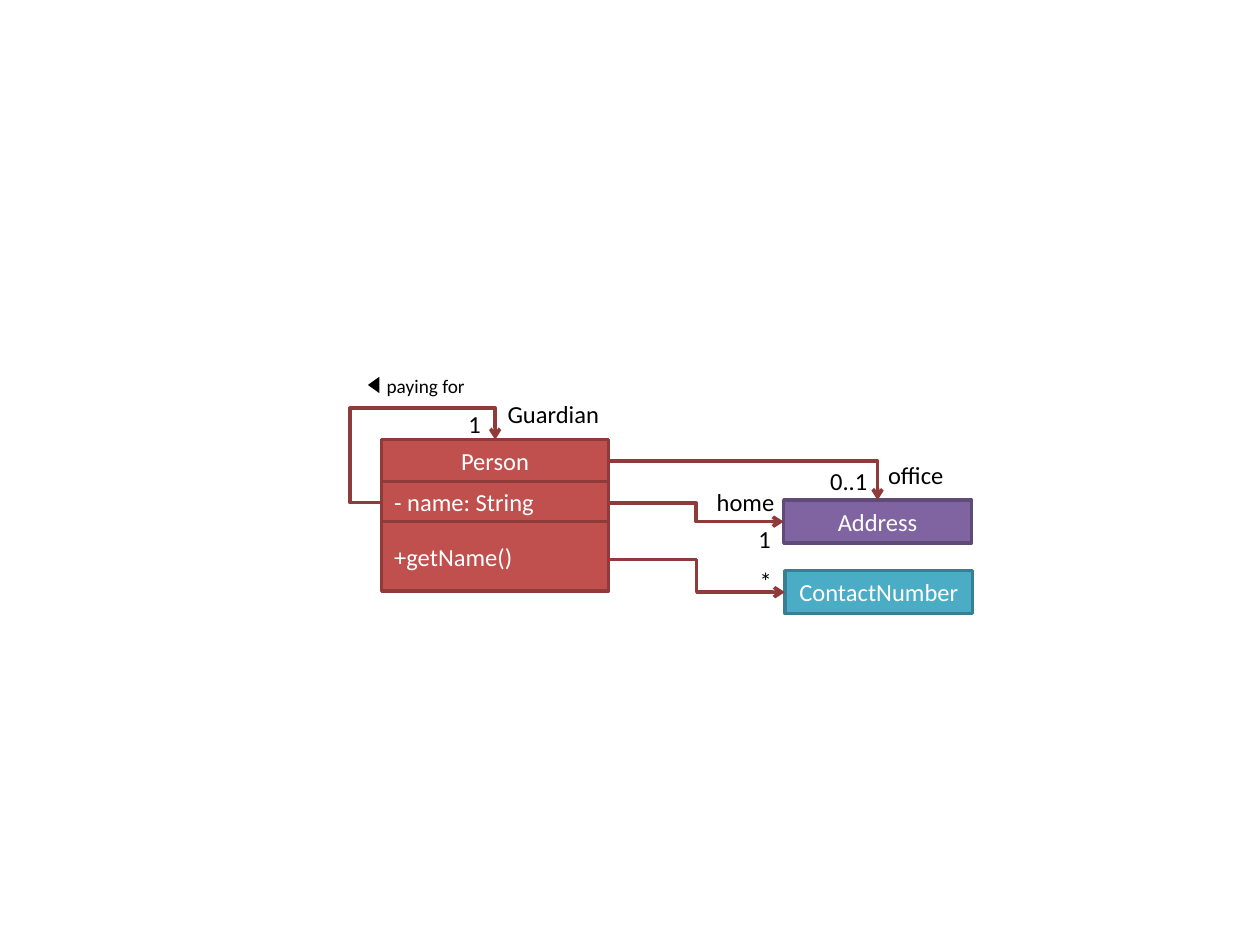
import pptx
import pptx.dml.color
import pptx.enum.shapes
import pptx.enum.text
import pptx.oxml
import pptx.oxml.ns
import pptx.util

Inches = pptx.util.Inches
Pt = pptx.util.Pt
RGBColor = pptx.dml.color.RGBColor
Shape = pptx.enum.shapes.MSO_SHAPE
Align = pptx.enum.text.PP_ALIGN

RED, DARK_RED = RGBColor(0xC0, 0x50, 0x4D), RGBColor(0x8E, 0x3B, 0x39)
PURPLE, DARK_PURPLE = RGBColor(0x80, 0x64, 0xA2), RGBColor(0x5F, 0x4A, 0x78)
TEAL, DARK_TEAL = RGBColor(0x4B, 0xAC, 0xC6), RGBColor(0x37, 0x7F, 0x92)
BLACK, WHITE = RGBColor(0, 0, 0), RGBColor(0xFF, 0xFF, 0xFF)

PERSON_LEFT, PERSON_WIDTH = 3.03, 1.8
PERSON_RIGHT = PERSON_LEFT + PERSON_WIDTH
PERSON_MIDDLE = PERSON_LEFT + PERSON_WIDTH / 2
PERSON_TOP, NAME_TOP, METHOD_TOP = 3.49, 3.82, 4.14
ADDRESS_LEFT, ADDRESS_TOP = 6.22, 3.97
CONTACT_LEFT, CONTACT_TOP = 6.23, 4.53
CLASS_WIDTH, CLASS_HEIGHT = 1.49, 0.34


class ClassDiagram:
    font_name = "Calibri"
    font_size = 14
    line_width = Pt(2)

    def __init__(self, page):
        self.page = page

    def set_text(self, shape, text, color, size, align):
        shape.text_frame.text = text
        shape.text_frame.word_wrap = True
        para = shape.text_frame.paragraphs[0]
        para.alignment = align
        font = para.runs[0].font
        font.name, font.size = self.font_name, Pt(size)
        font.color.rgb = color

    def compartment(self, text, left, top, width, height, fill, line, align=Align.CENTER):
        box = self.page.shapes.add_shape(
            Shape.RECTANGLE, Inches(left), Inches(top), Inches(width), Inches(height))
        box.shadow.inherit = False
        box.fill.solid()
        box.fill.fore_color.rgb = fill
        box.line.color.rgb = line
        box.line.width = self.line_width
        box.text_frame.vertical_anchor = pptx.enum.text.MSO_ANCHOR.MIDDLE
        self.set_text(box, text, WHITE, self.font_size, align)

    def label(self, text, left, top, width, height=0.34, size=font_size):
        box = self.page.shapes.add_textbox(
            Inches(left), Inches(top), Inches(width), Inches(height))
        self.set_text(box, text, BLACK, size, Align.LEFT)
        return box

    def reading_direction(self, text, left, top, width, height):
        """Add a small label with a triangle that points left before it."""
        label = self.label(text, left, top, width, height, size=11)
        triangle = self.page.shapes.add_shape(
            Shape.ISOSCELES_TRIANGLE, Inches(left - 0.07), Inches(top + 0.09),
            Inches(0.13), Inches(0.09))
        triangle.rotation = 270
        triangle.shadow.inherit = False
        triangle.fill.solid()
        triangle.fill.fore_color.rgb = BLACK
        triangle.line.fill.background()
        self.page.shapes.add_group_shape([label, triangle])

    def association(self, start, end, preset="bentConnector3", bends=()):
        """Add an elbow arrow; bends are fractions of its width and height."""
        arrow = self.page.shapes.add_connector(
            pptx.enum.shapes.MSO_CONNECTOR.ELBOW, *map(Inches, start + end))
        arrow.line.color.rgb = DARK_RED
        arrow.line.width = self.line_width
        namespace = pptx.oxml.ns.nsdecls("a")
        properties = arrow.element.spPr
        properties.find(pptx.oxml.ns.qn("a:ln")).append(
            pptx.oxml.parse_xml(f'<a:tailEnd {namespace} type="arrow"/>'))
        properties.append(pptx.oxml.parse_xml(f"<a:effectLst {namespace}/>"))
        geometry = properties.find(pptx.oxml.ns.qn("a:prstGeom"))
        geometry.set("prst", preset)
        guides = geometry.find(pptx.oxml.ns.qn("a:avLst"))
        for number, bend in enumerate(bends, 1):
            guides.append(pptx.oxml.parse_xml(
                f'<a:gd {namespace} name="adj{number}" fmla="val {round(bend * 100000)}"/>'))


def main():
    deck = pptx.Presentation()
    deck.slide_width, deck.slide_height = Inches(10), Inches(7.5)
    diagram = ClassDiagram(deck.slides.add_slide(deck.slide_layouts[6]))

    diagram.association((PERSON_LEFT, 3.99), (PERSON_MIDDLE, PERSON_TOP),
                        "bentConnector4", (-0.28, 1.5))
    for text, top, height, align in (
            ("Person", PERSON_TOP, 0.34, Align.CENTER),
            ("- name: String", NAME_TOP, 0.33, Align.LEFT),
            ("+getName()", METHOD_TOP, 0.55, Align.LEFT)):
        diagram.compartment(text, PERSON_LEFT, top, PERSON_WIDTH, height,
                            RED, DARK_RED, align)
    diagram.compartment("Address", ADDRESS_LEFT, ADDRESS_TOP, CLASS_WIDTH, CLASS_HEIGHT,
                        PURPLE, DARK_PURPLE)
    diagram.compartment("ContactNumber", CONTACT_LEFT, CONTACT_TOP, CLASS_WIDTH,
                        CLASS_HEIGHT, TEAL, DARK_TEAL)

    diagram.association((PERSON_RIGHT, 3.66),
                        (ADDRESS_LEFT + CLASS_WIDTH / 2, ADDRESS_TOP), "bentConnector2")
    diagram.association((PERSON_RIGHT, 3.99),
                        (ADDRESS_LEFT, ADDRESS_TOP + CLASS_HEIGHT / 2), bends=(0.5,))
    diagram.association((PERSON_RIGHT, 4.44),
                        (CONTACT_LEFT, CONTACT_TOP + CLASS_HEIGHT / 2), bends=(0.5,))

    diagram.reading_direction("paying for", 2.97, 2.92, 0.89, 0.29)
    for text, left, top, width in (
            ("Guardian", 3.93, 3.12, 1.04),
            ("1", 3.62, 3.2, 0.24),
            ("office", 6.95, 3.6, 0.76),
            ("0..1", 6.49, 3.65, 0.56),
            ("home", 5.59, 3.82, 0.76),
            ("1", 5.92, 4.11, 0.24),
            ("*", 5.93, 4.44, 0.35)):
        diagram.label(text, left, top, width)

    deck.save("out.pptx")


if __name__ == "__main__":
    main()
